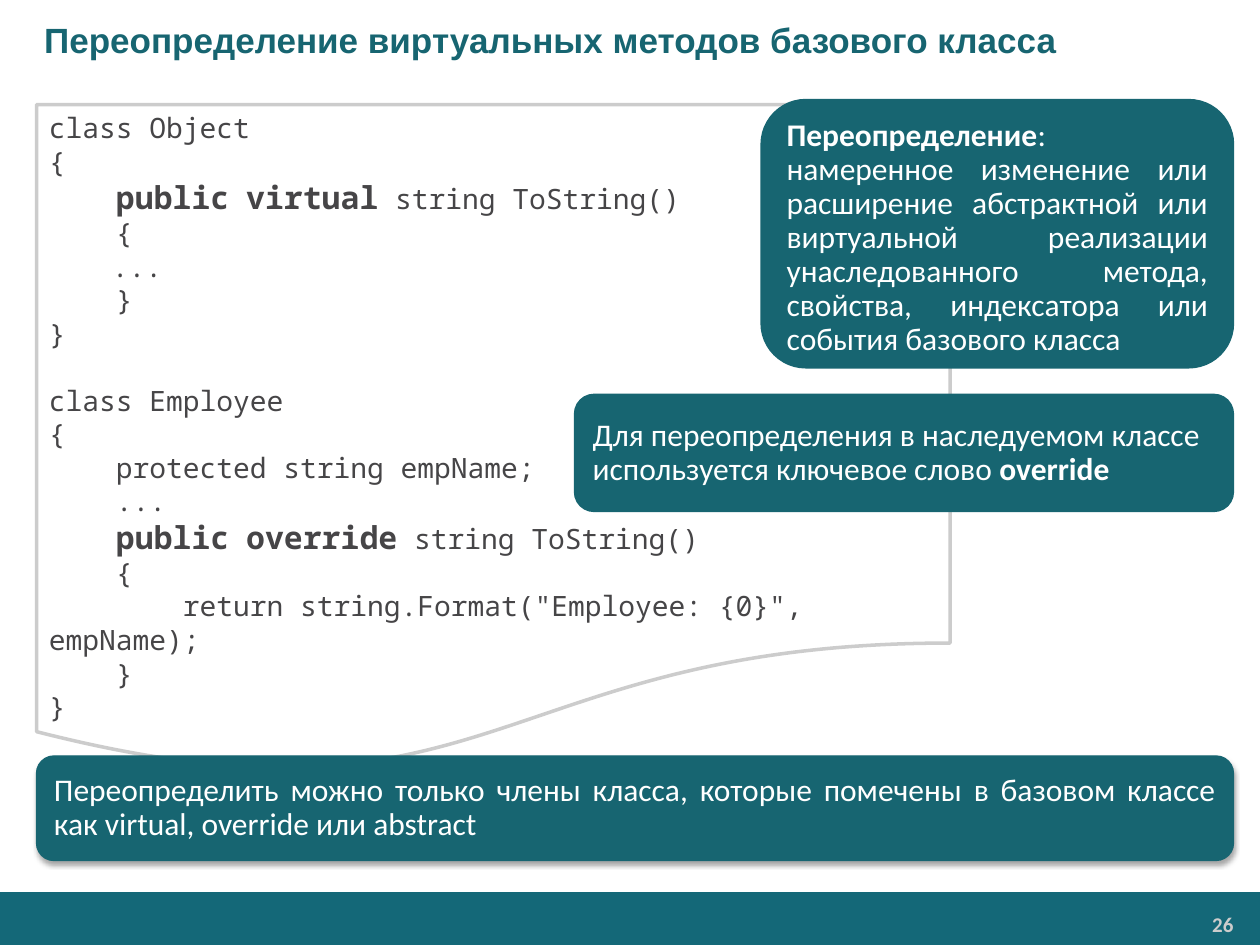
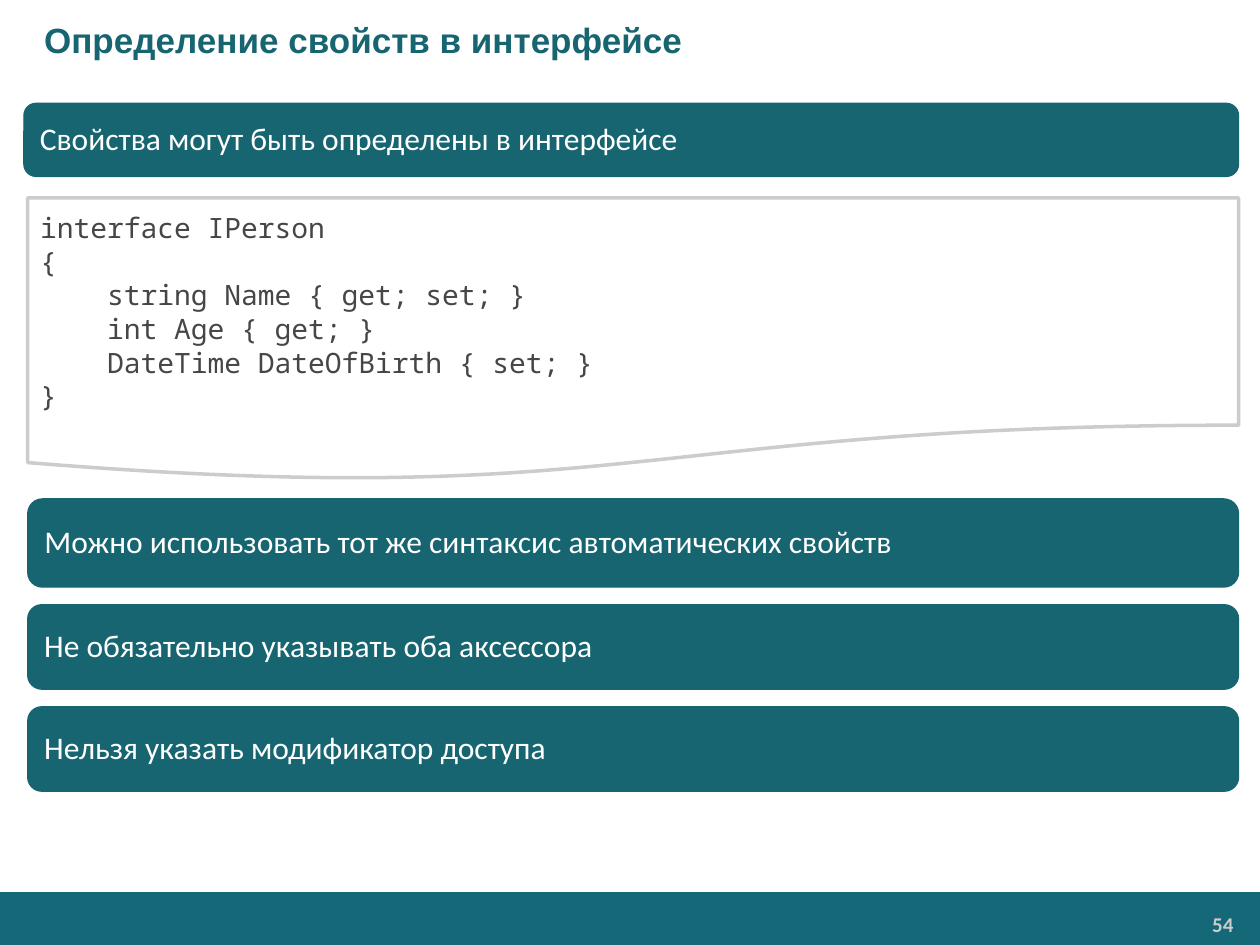
from lxml import etree
from pptx import Presentation
from pptx.dml.color import RGBColor
from pptx.enum import shapes, text
from pptx.oxml.ns import qn
from pptx.util import Inches, Pt

HEX = {"teal": "176571", "band": "146878", "grey": "CCCCCC",
       "code": "464547", "white": "FFFFFF", "black": "000000"}
SANS, MONO, HEAD = "Calibri", "Noto Sans Mono", "Arial"
WIDE, HIGH = 10, 7.5
LEFT, JUST, RIGHT = text.PP_ALIGN.LEFT, text.PP_ALIGN.JUSTIFY, text.PP_ALIGN.RIGHT
TOP, MID = text.MSO_ANCHOR.TOP, text.MSO_ANCHOR.MIDDLE
ROUND, PAGE = shapes.MSO_SHAPE.ROUNDED_RECTANGLE, shapes.MSO_SHAPE.FLOWCHART_DOCUMENT
GAP = 0.14

# Text between ** marks is bold.
CLASSES = [
    """class Object
{
    **public** **virtual** string ToString()
    {
\t...
    }
}""",
    """class Employee
{
    protected string empName;
    ...
    **public** **override** string ToString()
    {
        return string.Format("Employee: {0}", empName);
    }
}"""]
PERSON = """interface IPerson
{
    string Name { get; set; }
    int Age { get; }
    DateTime DateOfBirth { set; }
}"""
VIRTUAL = {
    "title": "Переопределение виртуальных методов базового класса", "page": "26",
    "code": (CLASSES, (0.29, 0.83, 7.25, 5.33), TOP),
    "notes": [
        (["**Переопределение**:",
          "намеренное изменение или расширение абстрактной или виртуальной реализации "
          "унаследованного метода, свойства, индексатора или события базового класса"],
         (6.04, 0.79, 3.75, 2.13), JUST, TOP),
        (["Для переопределения в наследуемом классе используется ключевое слово **override**"],
         (4.56, 3.13, 5.23, 0.93), LEFT, MID),
        (["Переопределить можно только члены класса, которые помечены в базовом классе "
          "как virtual, override или abstract"],
         (0.29, 6, 9.5, 0.83), JUST, MID)]}
FACTS = [("Можно использовать тот же синтаксис автоматических свойств", 0.7),
         ("Не обязательно указывать оба аксессора", 0.67),
         ("Нельзя указать модификатор доступа", 0.67)]
PROPS = {
    "title": "Определение свойств в интерфейсе", "page": "54",
    "code": ([PERSON], (0.22, 1.57, 9.61, 2.25), MID),
    "notes": [(["Свойства могут быть определены в интерфейсе"],
               (0.19, 0.82, 9.64, 0.58), LEFT, MID)]}


def tint(name):
    return RGBColor.from_string(HEX[name])


def style(font, size, face, color, bold=False):
    font.size, font.name, font.bold = Pt(size), face, bold
    font.color.rgb = tint(color)


def shape(slide, kind, box, fill, line=None, width=0.75):
    item = slide.shapes.add_shape(kind, *map(Inches, box))
    item.shadow.inherit = False
    item.fill.solid()
    item.fill.fore_color.rgb = tint(fill)
    if line:
        item.line.color.rgb = tint(line)
        item.line.width = Pt(width)
    else:
        item.line.fill.background()
    return item


def write(item, lines, anchor, align, size, face, color, strong, lead=None):
    """Fill a shape; marked parts are bold and take the size strong."""
    frame = item.text_frame
    frame.word_wrap, frame.vertical_anchor = True, anchor
    for row, line in enumerate(lines):
        para = frame.add_paragraph() if row else frame.paragraphs[0]
        para.alignment, para.line_spacing = align, lead
        for part, words in enumerate(line.split("**")):
            if words:
                run = para.add_run()
                run.text = words
                bold = part % 2 == 1
                style(run.font, strong if bold else size, face, color, bold)
    return frame


def code(slide, blocks, box, anchor):
    item = shape(slide, PAGE, box, "white", "grey", 2)
    parts = [block.split("\n") for block in blocks]
    frame = write(item, sum(parts, []), anchor, LEFT, 16, MONO, "code", 18)
    start = 0
    for part in parts[:-1]:
        start += len(part)
        frame.paragraphs[start].space_before = Pt(19)


def note(slide, lines, box, align, anchor):
    item = shape(slide, ROUND, box, "teal", "teal")
    write(item, lines, anchor, align, 18, SANS, "white", 18, 0.9)
    return item


def shade(item):
    """Give a soft shadow below the shape."""
    glow = item.element.spPr.find(qn("a:effectLst"))
    drop = etree.SubElement(glow, qn("a:outerShdw"), blurRad=str(Pt(3.1)),
                            dist=str(Pt(1.8)), dir="5400000", rotWithShape="0")
    ink = etree.SubElement(drop, qn("a:srgbClr"), val=HEX["black"])
    etree.SubElement(ink, qn("a:alpha"), val="35000")


def build(deck, data):
    slide = deck.slides.add_slide(deck.slide_layouts[5])
    shape(slide, shapes.MSO_SHAPE.RECTANGLE, (0, 7.08, WIDE, HIGH - 7.08), "band")

    page = slide.shapes.add_textbox(*map(Inches, (8.23, 7.19, 1.63, 0.28)))
    frame = page.text_frame
    frame.margin_left = frame.margin_right = Inches(0.07)
    frame.margin_top = frame.margin_bottom = Inches(0.04)
    frame.text = data["page"]
    para = frame.paragraphs[0]
    para.alignment = RIGHT
    style(para.runs[0].font, 12, SANS, "grey", True)

    title = slide.shapes.title
    title.left, title.top, title.width, title.height = map(Inches, (0, 0, WIDE, 0.63))
    frame = title.text_frame
    frame.text = data["title"]
    frame.vertical_anchor, frame.margin_left = MID, Inches(0.35)
    para = frame.paragraphs[0]
    para.alignment = LEFT
    style(para.runs[0].font, 20, HEAD, "teal", True)

    code(slide, *data["code"])
    return slide, [note(slide, *spec) for spec in data["notes"]]


def main():
    deck = Presentation()
    deck.slide_width, deck.slide_height = Inches(WIDE), Inches(HIGH)

    slide, notes = build(deck, VIRTUAL)
    shade(notes[-1])

    slide, notes = build(deck, PROPS)
    top = 3.96
    for fact, high in FACTS:
        note(slide, [fact], (0.22, top, 9.61, high), LEFT, MID)
        top += high + GAP

    deck.save("out.pptx")


if __name__ == "__main__":
    main()
